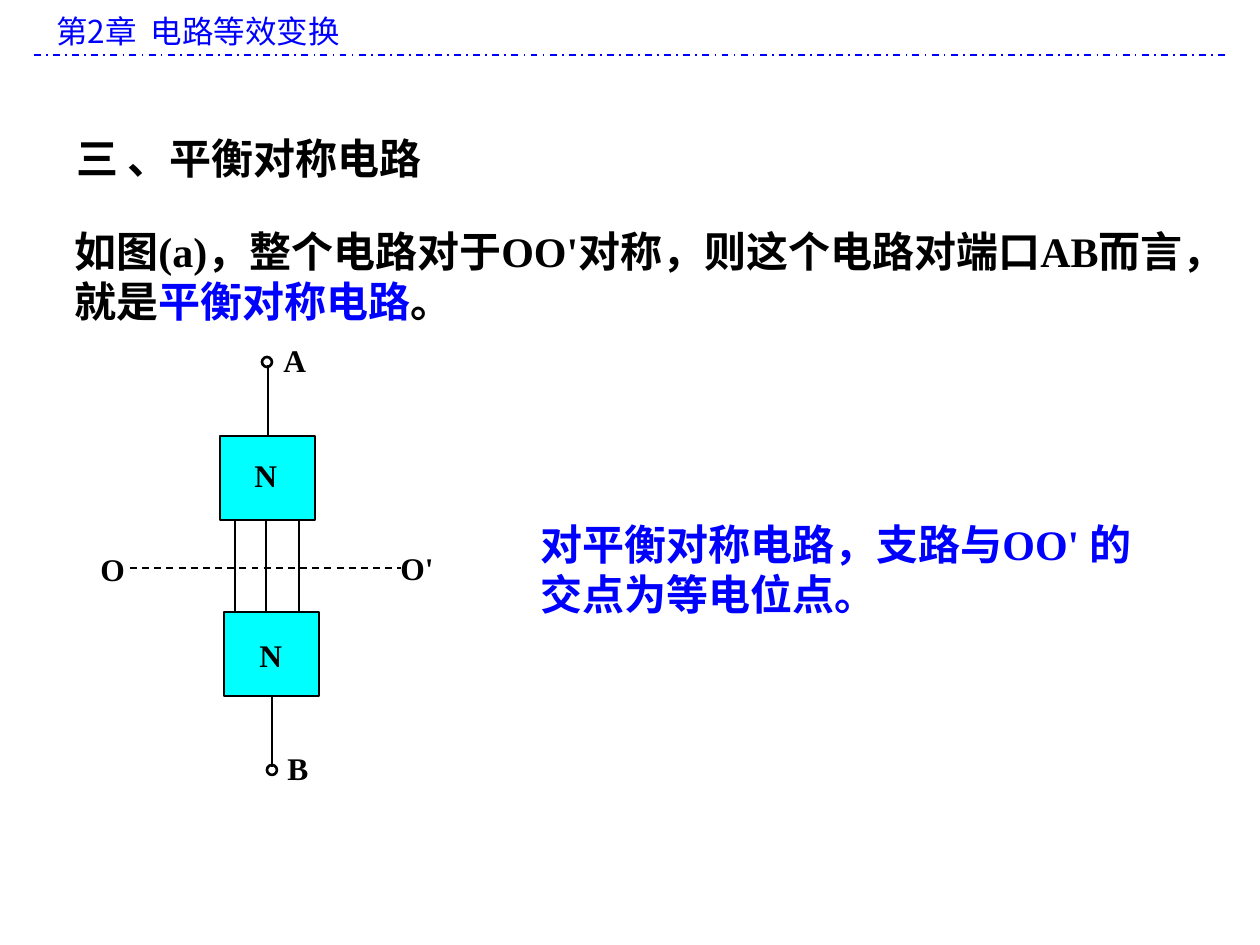
from pptx import Presentation, util as u
from pptx.dml.color import RGBColor
from pptx.enum import dml, shapes, text
from pptx.oxml.ns import qn
from lxml import etree

PX = 914400 / 126
COLORS = {"ink": "000000", "accent": "0000FF", "block": "00FFFF"}
SERIF, SANS = "Times New Roman", "Noto Sans CJK SC"

# Text: box in px, runs of (wording, colour)
HEADER = ((44, 6, 1181, 50), [("第2章  电路等效变换", "accent")])
BODY = [
    ((64, 126, 1147, 63), [("三 、平衡对称电路", "ink")]),
    ((62, 219, 1147, 113), [
        ("如图(a)，整个电路对于OO'对称，则这个电路对端口AB而言，就是", "ink"),
        ("平衡对称电路", "accent"),
        ("。", "ink"),
    ]),
    ((528, 512, 625, 113), [("对平衡对称电路，支路与OO' 的交点为等电位点。", "accent")]),
]

# Circuit, in px
BLOCK_SIZE = (95, 84)
BLOCKS = [(220, 436), (224, 612)]
TERMINAL_SIZE = (10, 10)
TERMINALS = [(262, 357), (267, 765)]
LEADS = [(268, 365, 436), (272, 697, 767)]
BRANCHES = [(x, 519, 612) for x in (235, 266, 299)]
LABELS = [("A", 271, 335, 58), ("N", 242, 450, 58), ("O", 88, 544, 58),
          ("O'", 388, 543, 78), ("N", 247, 630, 58), ("B", 275, 743, 58)]
LABEL_HEIGHT = 50


def px(*lengths):
    return [u.Emu(round(n * PX)) for n in lengths]


def rgb(name):
    return RGBColor.from_string(COLORS[name])


def add_text(slide, box, runs, size, font=SERIF, bold=True):
    tf = slide.shapes.add_textbox(*px(*box)).text_frame
    tf.word_wrap = True
    tf.auto_size = text.MSO_AUTO_SIZE.NONE
    p = tf.paragraphs[0]
    p.font.name, p.font.size, p.font.bold = font, u.Pt(size), bold
    for words, color in runs:
        r = p.add_run()
        r.text = words
        r.font.color.rgb = rgb(color)


def add_line(slide, ends, color="ink", width=1.5, dash=None):
    line = slide.shapes.add_connector(shapes.MSO_CONNECTOR.STRAIGHT, *px(*ends))
    line.line.color.rgb = rgb(color)
    line.line.width = u.Pt(width)
    if dash:
        line.line.dash_style = dash
    etree.SubElement(line._element.spPr, qn("a:effectLst"))


def add_part(slide, kind, corner, size, fill=None):
    sp = slide.shapes.add_shape(kind, *px(*corner, *size))
    sp.shadow.inherit = False
    if fill:
        sp.fill.solid()
        sp.fill.fore_color.rgb = rgb(fill)
    else:
        sp.fill.background()
    sp.line.color.rgb = rgb("ink")
    sp.line.width = u.Pt(1.5)


def main():
    prs = Presentation()
    prs.slide_width, prs.slide_height = u.Inches(10), u.Inches(7.5)
    s = prs.slides.add_slide(prs.slide_layouts[6])

    add_text(s, *HEADER, 18, SANS, False)
    add_line(s, (34, 55, 1225, 55), "accent", 1, dml.MSO_LINE.DASH_DOT)
    for box, runs in BODY:
        add_text(s, box, runs, 24)

    for corner in BLOCKS:
        add_part(s, shapes.MSO_SHAPE.RECTANGLE, corner, BLOCK_SIZE, "block")
    for x, top, bottom in LEADS + BRANCHES:
        add_line(s, (x, top, x, bottom))
    add_line(s, (130, 568, 401, 568), width=1, dash=dml.MSO_LINE.DASH)
    for corner in TERMINALS:
        add_part(s, shapes.MSO_SHAPE.OVAL, corner, TERMINAL_SIZE)
    for name, x, y, width in LABELS:
        add_text(s, (x, y, width, LABEL_HEIGHT), [(name, "ink")], 18)

    prs.save("out.pptx")


if __name__ == "__main__":
    main()
